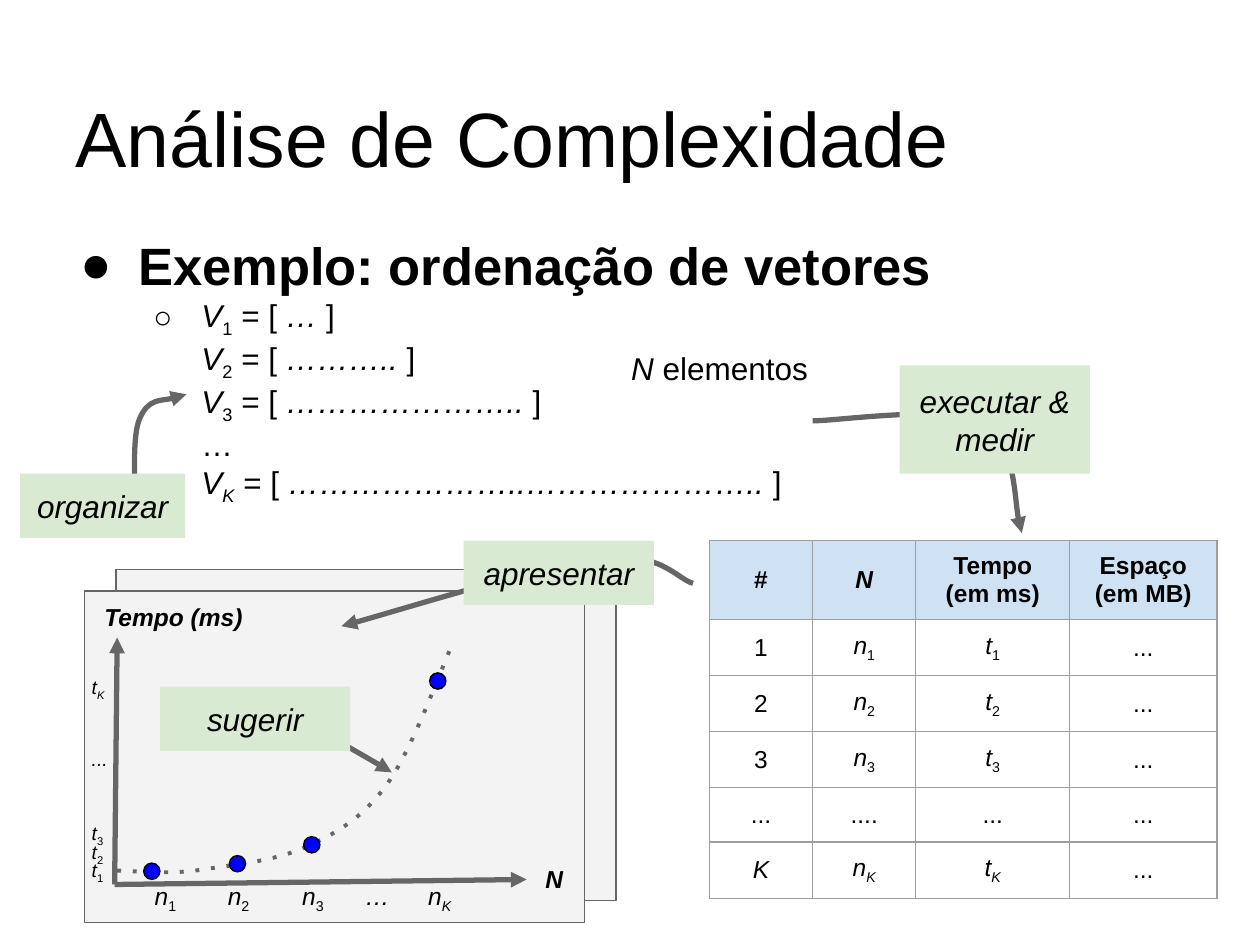
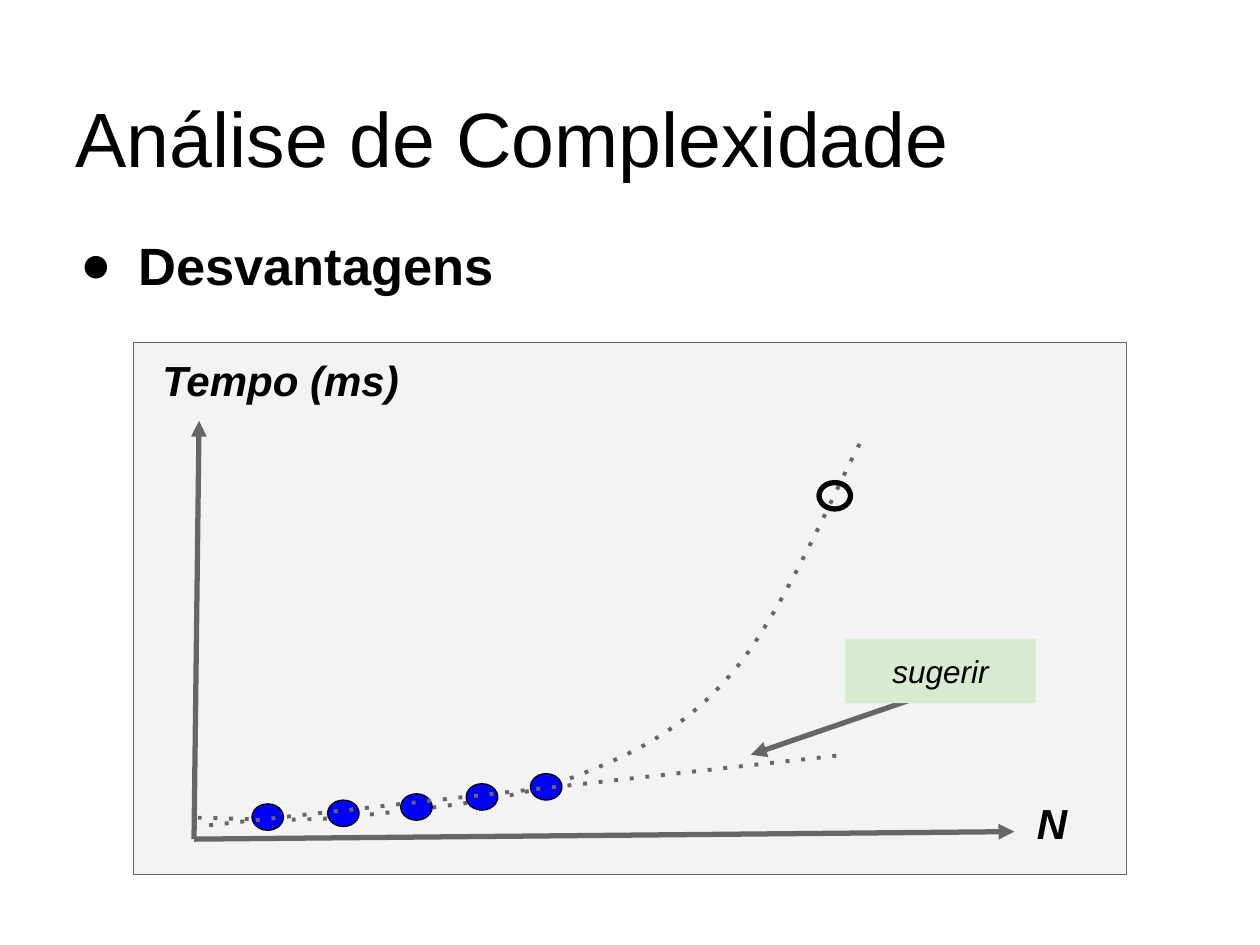
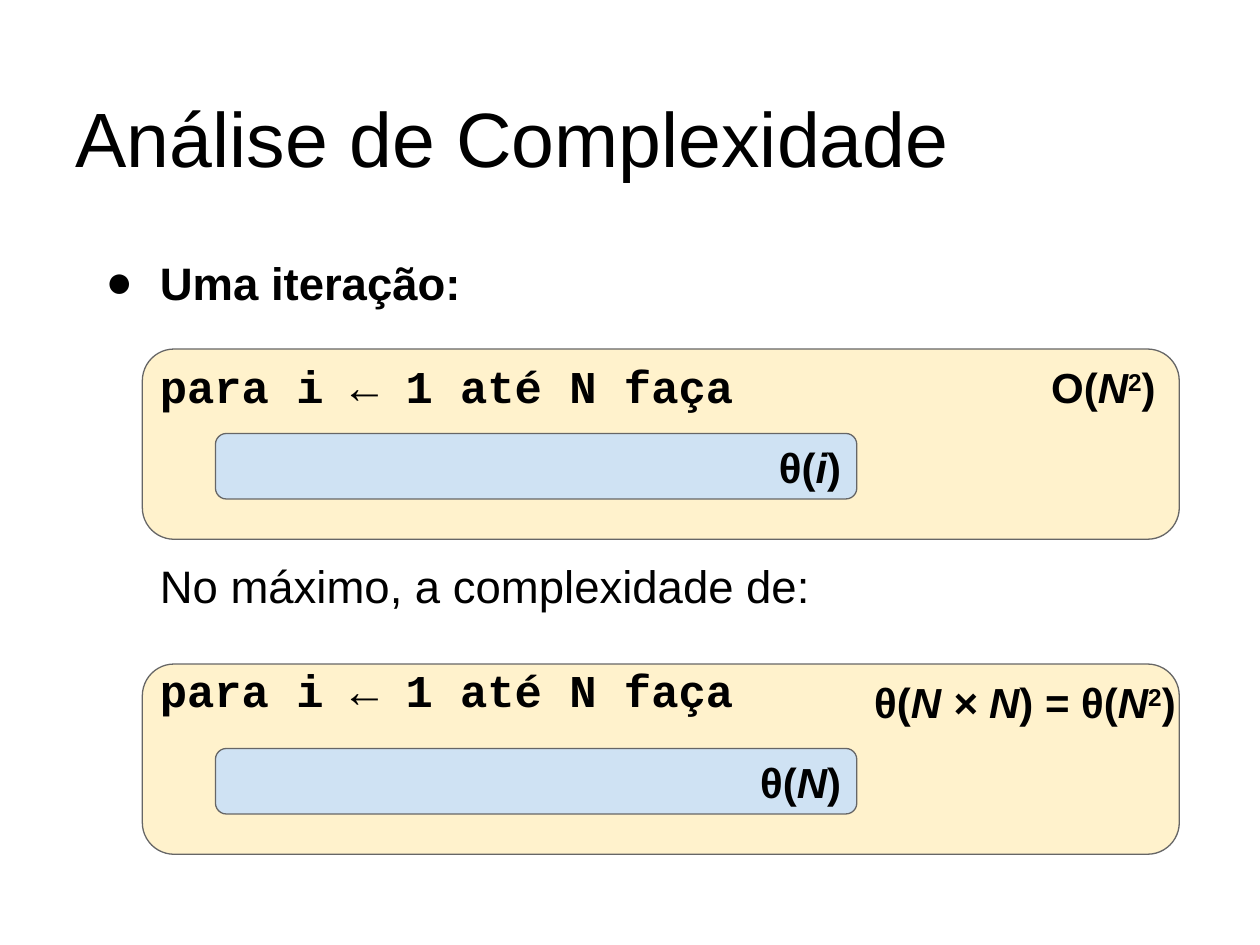
from lxml import etree
from pptx import Presentation
from pptx.dml.color import RGBColor
from pptx.enum.shapes import MSO_CONNECTOR, MSO_SHAPE
from pptx.enum.text import MSO_ANCHOR, PP_ALIGN
from pptx.oxml.ns import qn
from pptx.util import Inches, Pt

BLACK = RGBColor(0x00, 0x00, 0x00)
GRAY = RGBColor(0x66, 0x66, 0x66)
PANEL = RGBColor(0xF3, 0xF3, 0xF3)
GREEN = RGBColor(0xD9, 0xEA, 0xD3)
BLUE = RGBColor(0x00, 0x00, 0xFF)
LIGHT_BLUE = RGBColor(0xCF, 0xE2, 0xF3)
YELLOW = RGBColor(0xFF, 0xF2, 0xCC)
BORDER = "9E9E9E"
RECTANGLE, ROUNDED, OVAL = MSO_SHAPE.RECTANGLE, MSO_SHAPE.ROUNDED_RECTANGLE, MSO_SHAPE.OVAL
STRAIGHT = MSO_CONNECTOR.STRAIGHT
LEFT, CENTER, RIGHT = PP_ALIGN.LEFT, PP_ALIGN.CENTER, PP_ALIGN.RIGHT
MIDDLE, BOTTOM = MSO_ANCHOR.MIDDLE, MSO_ANCHOR.BOTTOM
TITLE = "Análise de Complexidade"


def write(frame, spans, size, align=LEFT, indent=None, bullet=None, first=True, font="Arial"):
    frame.word_wrap = True
    frame.margin_left = frame.margin_right = frame.margin_top = frame.margin_bottom = Inches(0.1)
    para = frame.paragraphs[0] if first else frame.add_paragraph()
    para.alignment = align
    if indent:
        properties = para._p.get_or_add_pPr()
        properties.set("marL", str(Inches(indent[0])))
        properties.set("indent", str(Inches(indent[1])))
        if bullet:
            etree.SubElement(properties, qn("a:buFont"), typeface="Arial")
            etree.SubElement(properties, qn("a:buChar"), char=bullet)
    for text, style in spans:
        if text == "\n":
            para.add_line_break()
            etree.SubElement(para._p[-1], qn("a:rPr"), sz=str(size * 100))
            continue
        span = para.add_run()
        span.text = text
        span.font.name = font
        span.font.size = Pt(size)
        span.font.color.rgb = BLACK
        span.font.bold = "b" in style
        span.font.italic = "i" in style
        if "-" in style or "+" in style:
            span.font._element.set("baseline", "-25000" if "-" in style else "30000")
    return para


def draw_stroke(page, points, dotted=False):
    places = [(Inches(x), Inches(y)) for x, y in points]
    if len(places) == 2:
        stroke = page.shapes.add_connector(STRAIGHT, *places[0], *places[1])
    else:
        builder = page.shapes.build_freeform(*places[0])
        builder.add_line_segments(places[1:], close=False)
        stroke = builder.convert_to_shape()
        stroke.fill.background()
        outline = next(stroke._element.iter(qn("a:path")))
        for number, segment in enumerate(outline.findall(qn("a:lnTo"))):
            if number % 3 == 0:
                curve = etree.SubElement(outline, qn("a:cubicBezTo"))
            curve.append(segment[0])
            outline.remove(segment)
    stroke.line.color.rgb = GRAY
    stroke.line.width = Pt(2.25 if dotted else 3)
    line = stroke.line._get_or_add_ln()
    if dotted:
        etree.SubElement(line, qn("a:prstDash"), val="dot")
    else:
        etree.SubElement(line, qn("a:tailEnd"), type="triangle")
    etree.SubElement(stroke._element.spPr, qn("a:effectLst"))


deck = Presentation()
deck.slide_width, deck.slide_height = Inches(10), Inches(7.5)

pages = []
for heading, size, left, top, hanging in [
    ("Exemplo: ordenação de vetores", 30, 0.5, 1.75, -0.46),
    ("Desvantagens", 30, 0.5, 1.75, -0.46),
    ("Uma iteração:", 26, 0.67, 1.92, -0.43),
]:
    page = deck.slides.add_slide(deck.slide_layouts[5])
    title = page.shapes.title
    title.left, title.top, title.width, title.height = map(Inches, (0.5, 0.3, 9, 1.25))
    title.text_frame.vertical_anchor = BOTTOM
    write(title.text_frame, [(TITLE, "")], 44)
    body = page.shapes.add_textbox(Inches(left), Inches(top), Inches(9), Inches(0.71))
    write(body.text_frame, [(heading, "b")], size, indent=(0.5, hanging), bullet="●")
    pages.append((page, body))
pages[0][1].height = Inches(5.43)
pages[1][1].height = Inches(1.16)

vectors = []
for index, dots in [
    ("1", " … "), ("2", " ……….. "), ("3", " ………………….. "), (None, "…"),
    ("K", " …………………..………………….. "),
]:
    if vectors:
        vectors.append(("\n", ""))
    if index:
        vectors += [("V", "i"), (index, "i-" if index == "K" else "-"),
                    (" = [", ""), (dots, "i"), ("]", "")]
    else:
        vectors.append((dots, ""))
write(pages[0][1].text_frame, vectors, 18, indent=(1, -0.38), bullet="○", first=False)

n_captions = [
    (left, 6.89, 0.43, [("n", "i"), (index, style)], 14)
    for left, index, style in [(1.13, "1", "-"), (1.71, "2", "-"), (2.3, "3", "-"), (3.3, "K", "i-")]
]
t_captions = [
    (0.63, top, 0.43, [("t", "i"), (index, style)], 11)
    for top, index, style in [(6.71, "1", "-"), (6.57, "2", "-"), (6.42, "3", "-"), (5.26, "K", "i-")]
]
graphs = [
    {
        "panels": [(0.92, 4.52, 3.97, 2.63), (0.67, 4.69, 3.97, 2.63)],
        "trend": [(0.93, 6.91), (1.03, 6.91), (1.3, 6.94), (1.55, 6.91), (1.8, 6.87),
                  (2.16, 6.84), (2.41, 6.73), (2.66, 6.62), (2.87, 6.5), (3.06, 6.24),
                  (3.26, 5.98), (3.49, 5.34), (3.57, 5.16)],
        "arrows": [
            [(0.91, 7.02), (4.18, 6.98)],
            [(0.91, 7.02), (0.93, 5.06)],
            [(5.5, 4.63), (5.38, 4.6), (5.24, 4.37), (4.77, 4.43),
             (4.31, 4.49), (3.05, 4.88), (2.71, 4.97)],
            [(1.07, 4.06), (1.08, 3.94), (1.04, 3.47), (1.11, 3.32),
             (1.18, 3.16), (1.42, 3.17), (1.48, 3.13)],
            [(6.45, 3.34), (6.67, 3.34), (7.51, 3.21), (7.78, 3.36),
             (8.06, 3.51), (8.05, 4.08), (8.11, 4.23)],
            [(2.41, 5.72), (2.52, 5.79), (3, 6.06), (3.11, 6.13)],
        ],
        "dot_size": (0.13, 0.13),
        "dots": [(1.14, 6.85), (1.82, 6.79), (2.41, 6.64), (3.41, 5.34)],
        "labels": [
            (7.14, 2.9, 1.51, 0.86, "executar & medir"),
            (0.16, 3.76, 1.31, 0.51, "organizar"),
            (3.68, 4.29, 1.51, 0.51, "apresentar"),
            (1.27, 5.45, 1.51, 0.51, "sugerir"),
        ],
        "captions": [
            (4.91, 2.67, 2.22, [("N", "i"), (" elementos", "")], 18),
            (4.23, 6.76, 0.41, [("N", "bi")], 14),
            (0.73, 4.68, 1.72, [("Tempo (ms)", "bi")], 14),
            (2.8, 6.89, 0.43, [("…", "i")], 14),
            (0.63, 5.84, 0.43, [("...", "i")], 11),
        ] + n_captions + t_captions,
    },
    {
        "panels": [(1.06, 2.72, 7.88, 4.22)],
        "trend": [(1.57, 6.49), (1.78, 6.49), (2.32, 6.53), (2.81, 6.48), (3.3, 6.42),
                  (4.02, 6.37), (4.52, 6.18), (5.02, 5.99), (5.43, 5.79), (5.81, 5.34),
                  (6.2, 4.9), (6.66, 3.82), (6.83, 3.51)],
        "arrows": [
            [(1.54, 6.66), (8.05, 6.6)],
            [(1.54, 6.66), (1.58, 3.34)],
            [(7.85, 5.34), (7.53, 5.45), (6.28, 5.88), (5.96, 5.99)],
        ],
        "dot_size": (0.25, 0.21),
        "dots": [(2, 6.38), (2.6, 6.35), (3.18, 6.3), (3.7, 6.22), (4.21, 6.14)],
        "labels": [(6.71, 5.07, 1.51, 0.51, "sugerir")],
        "captions": [
            (8.13, 6.23, 0.81, [("N", "bi")], 24),
            (1.19, 2.71, 3.42, [("Tempo (ms)", "bi")], 24),
        ],
    },
]

for (page, body), graph in zip(pages, graphs):
    for place in graph["panels"]:
        panel = page.shapes.add_shape(RECTANGLE, *map(Inches, place))
        panel.shadow.inherit = False
        panel.fill.solid()
        panel.fill.fore_color.rgb = PANEL
        panel.line.color.rgb = GRAY
        panel.line.width = Pt(0.75)
    draw_stroke(page, graph["trend"], dotted=True)
    for points in graph["arrows"]:
        draw_stroke(page, points)
    for place in graph["dots"]:
        dot = page.shapes.add_shape(OVAL, *map(Inches, place + graph["dot_size"]))
        dot.shadow.inherit = False
        dot.fill.solid()
        dot.fill.fore_color.rgb = BLUE
        dot.line.color.rgb = BLACK
        dot.line.width = Pt(0.75)
    for *place, text in graph["labels"]:
        label = page.shapes.add_shape(RECTANGLE, *map(Inches, place))
        label.shadow.inherit = False
        label.fill.solid()
        label.fill.fore_color.rgb = GREEN
        label.line.fill.background()
        label.text_frame.vertical_anchor = MIDDLE
        write(label.text_frame, [(text, "i")], 18, CENTER)
    for left, top, width, spans, size in graph["captions"]:
        caption = page.shapes.add_textbox(Inches(left), Inches(top), Inches(width), Inches(0.3))
        write(caption.text_frame, spans, size)

rows = [[[("#", "b")], [("N", "bi")], [("Tempo", "b"), ("\n", ""), ("(em ms)", "b")],
         [("Espaço", "b"), ("\n", ""), ("(em MB)", "b")]]]
for index in ("1", "2", "3", "...", "K"):
    if index == "...":
        rows.append([[(text, "")] for text in ("...", "....", "...", "...")])
        continue
    slant = "i" if index == "K" else ""
    rows.append([[(index, slant)], [("n", "i"), (index, slant + "-")],
                 [("t", "i"), (index, slant + "-")], [("...", "")]])

table = pages[0][0].shapes.add_table(
    len(rows), 4, Inches(5.63), Inches(4.29), Inches(4.03), Inches(2.58)).table
table.first_row = table.horz_banding = False
for column, width in zip(table.columns, (0.82, 0.82, 1.22, 1.17)):
    column.width = Inches(width)
for row_number, row in enumerate(rows):
    table.rows[row_number].height = Inches(0.43)
    for column_number, spans in enumerate(row):
        cell = table.cell(row_number, column_number)
        properties = cell._tc.get_or_add_tcPr()
        for side in ("L", "R", "T", "B"):
            edge = etree.SubElement(properties, qn("a:ln" + side), w=str(Pt(0.75)))
            paint = etree.SubElement(edge, qn("a:solidFill"))
            etree.SubElement(paint, qn("a:srgbClr"), val=BORDER)
        cell.vertical_anchor = MIDDLE
        cell.margin_left = cell.margin_right = Inches(0.1)
        cell.margin_top = cell.margin_bottom = Inches(0.09 if row_number else 0.08)
        if row_number:
            cell.fill.background()
        else:
            cell.fill.solid()
            cell.fill.fore_color.rgb = LIGHT_BLUE
        write(cell.text_frame, spans, 14, CENTER)

page = pages[1][0]
forecast = page.shapes.add_shape(OVAL, Inches(6.5), Inches(3.83), Inches(0.25), Inches(0.21))
forecast.shadow.inherit = False
forecast.fill.background()
forecast.line.color.rgb = BLACK
forecast.line.width = Pt(3)
draw_stroke(page, [(1.66, 6.55), (6.71, 5.99)], dotted=True)

page, body = pages[2]
bound = page.shapes.add_textbox(Inches(0.67), Inches(4.33), Inches(9), Inches(0.71))
write(bound.text_frame, [("No máximo, a complexidade de:", "")], 26, indent=(0.5, 0))
for top, text_box, cost, total, total_left in [
    (2.77, body, "i", [("O(", "b"), ("N", "bi"), ("2", "b+"), (")", "b")], 5.8),
    (5.27, bound, "N", [("θ(", "b"), ("N × N", "bi"), (") = θ(", "b"), ("N", "bi"),
                        ("2", "b+"), (")", "b")], 5.96),
]:
    for left, offset, width, height, color in [
        (1.13, 0, 8.23, 1.51, YELLOW), (1.71, 0.67, 5.09, 0.52, LIGHT_BLUE),
    ]:
        block = page.shapes.add_shape(
            ROUNDED, Inches(left), Inches(top + offset), Inches(width), Inches(height))
        block.shadow.inherit = False
        block.fill.solid()
        block.fill.fore_color.rgb = color
        block.line.color.rgb = GRAY
        block.line.width = Pt(0.75)
    block.text_frame.vertical_anchor = MIDDLE
    write(block.text_frame, [("θ(", "b"), (cost, "bi"), (")", "b")], 24, RIGHT)
    result = page.shapes.add_textbox(Inches(total_left), Inches(top), Inches(3.47), Inches(0.52))
    write(result.text_frame, total, 24, RIGHT)
    code = write(text_box.text_frame, [("para i ← 1 até N faça", "b")], 26,
                 indent=(0.5, 0), first=False, font="Courier New")
    code.space_before = Pt(28)
    page.shapes._spTree.append(text_box._element)

deck.save("out.pptx")
